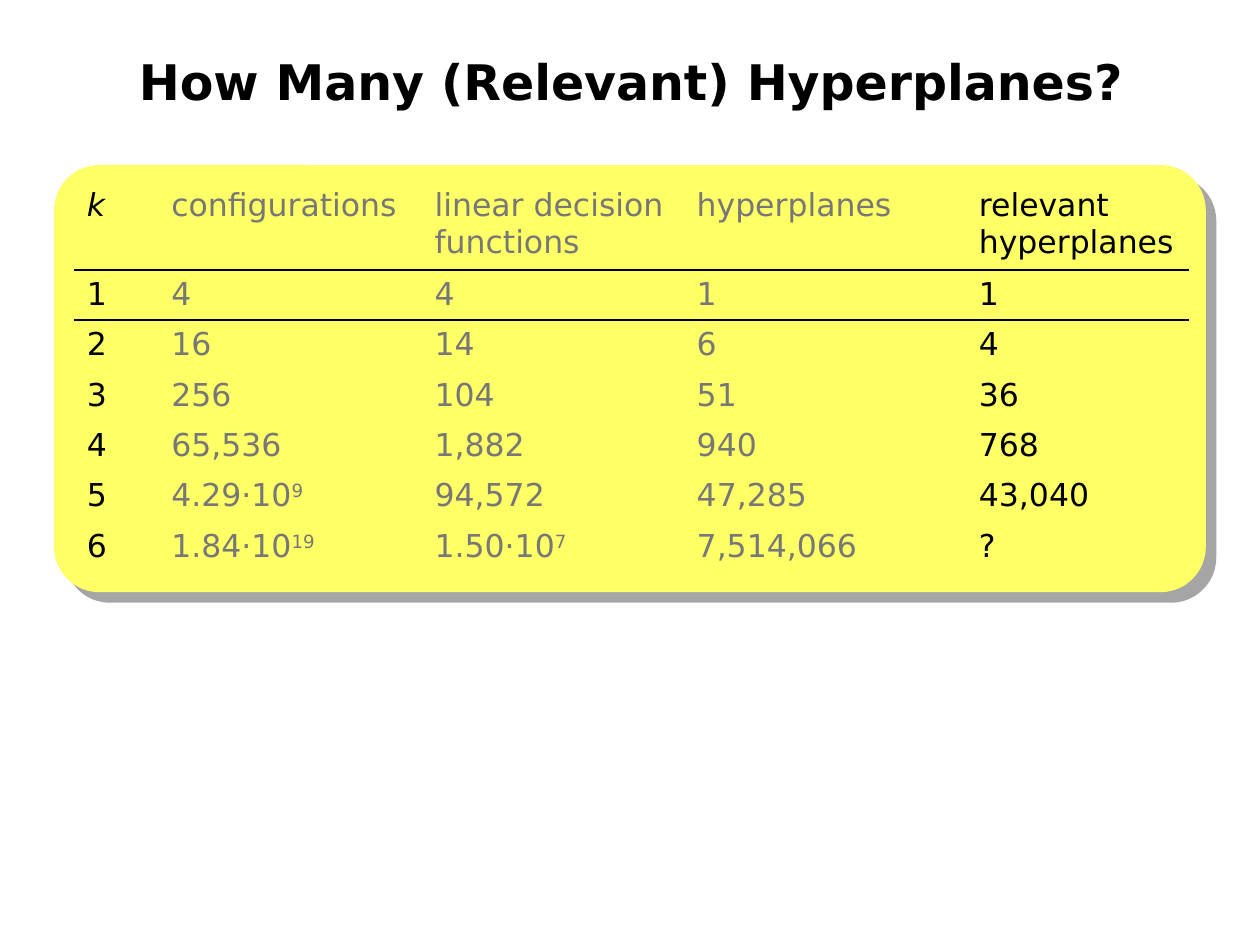
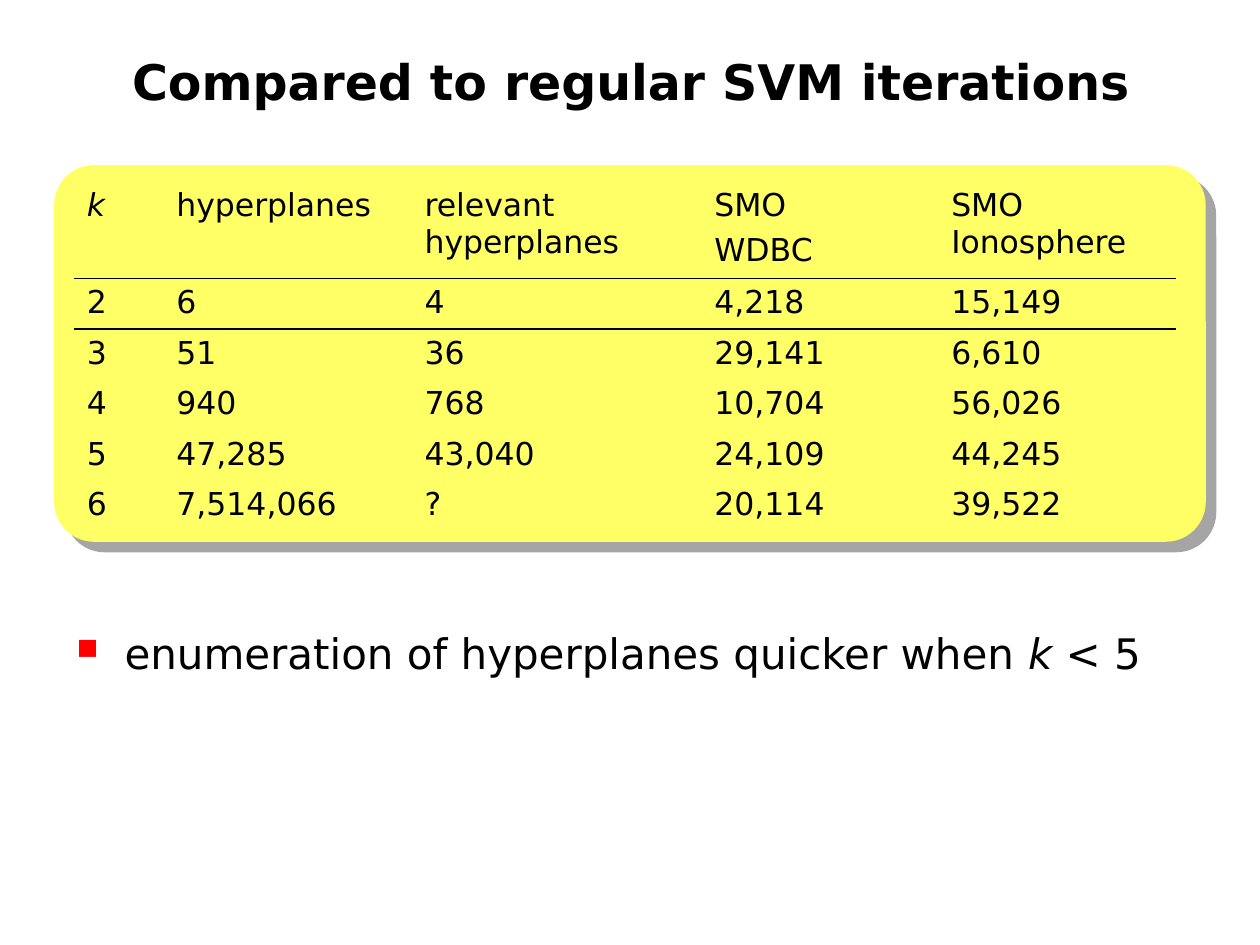
from lxml.etree import SubElement
from pptx import Presentation
from pptx.dml.color import RGBColor
from pptx.enum.shapes import MSO_SHAPE
from pptx.enum.text import MSO_ANCHOR, PP_ALIGN
from pptx.oxml import parse_xml
from pptx.oxml.ns import nsdecls, qn
from pptx.util import Inches, Pt

COLORS = {
    "text": "000000",
    "muted": "777777",
    "panel": "FFFF66",
    "shadow": "4D4D4D",
    "bullet": "FF0000",
}
FONT = "DejaVu Sans"
PLAIN_TABLE = "{2D5ABB26-0587-4C30-8999-92F81FD0307C}"
ROW_HEIGHT = 0.4


class SlideWriter:
    def __init__(self, deck):
        self.deck = deck
        self.page = None

    def new_page(self, title):
        self.page = self.deck.slides.add_slide(self.deck.slide_layouts[6])
        frame = self.text_frame(0.2, 0.13, 9.61, 1.02)
        frame.vertical_anchor = MSO_ANCHOR.MIDDLE
        frame.text = title
        frame.paragraphs[0].alignment = PP_ALIGN.CENTER
        self.style(frame.paragraphs[0], 28, bold=True)

    def text_frame(self, left, top, width, height):
        box = self.page.shapes.add_textbox(
            Inches(left), Inches(top), Inches(width), Inches(height)
        )
        box.text_frame.word_wrap = True
        return box.text_frame

    def style(self, para, size, color="text", bold=False):
        pieces = para.text.split("|")
        para.text = pieces[0]
        for piece in pieces[1:]:
            para.add_run().text = piece
        for span in para.runs:
            span.font.name = FONT
            span.font.size = Pt(size)
            span.font.bold = bold
            span.font.italic = span.text == "k"
            span.font.color.rgb = RGBColor.from_string(COLORS[color])
            if span.text.startswith("^"):
                span.text = span.text[1:]
                span.font._element.set("baseline", "30000")

    def bullet(self, text):
        frame = self.text_frame(0.51, 4.93, 9.29, 1.34)
        frame.text = text
        para = frame.paragraphs[0]
        para.space_before = Pt(6)
        self.style(para, 24)
        properties = para._p.get_or_add_pPr()
        indent = Inches(0.38)
        properties.set("marL", str(indent))
        properties.set("indent", str(-indent))
        color = SubElement(properties, qn("a:buClr"))
        SubElement(color, qn("a:srgbClr"), val=COLORS["bullet"])
        SubElement(properties, qn("a:buSzPct"), val="70000")
        SubElement(properties, qn("a:buChar"), char="■")

    def panel(self, height):
        panel = self.page.shapes.add_shape(
            MSO_SHAPE.ROUNDED_RECTANGLE,
            Inches(0.43), Inches(1.31), Inches(9.14), Inches(height),
        )
        panel.adjustments[0] = 0.106
        panel.fill.solid()
        panel.fill.fore_color.rgb = RGBColor.from_string(COLORS["panel"])
        panel.line.fill.background()
        panel.shadow.inherit = False
        effects = panel._element.spPr.find(qn("a:effectLst"))
        effects.append(parse_xml(
            f'<a:outerShdw {nsdecls("a")} blurRad="0" dist="{Pt(8.5)}" '
            'dir="2700000" algn="ctr" rotWithShape="0">'
            f'<a:srgbClr val="{COLORS["shadow"]}"><a:alpha val="50000"/></a:srgbClr>'
            "</a:outerShdw>"
        ))

    def rule(self, cell, edge):
        cell._tc.get_or_add_tcPr().insert(0, parse_xml(
            f'<a:{edge} {nsdecls("a")} w="{Pt(1.08)}"><a:solidFill>'
            f'<a:srgbClr val="{COLORS["text"]}"/></a:solidFill></a:{edge}>'
        ))

    def table(self, rows, widths, header_height, muted_columns=()):
        heights = [header_height] + [ROW_HEIGHT] * (len(rows) - 1)
        frame = self.page.shapes.add_table(
            len(rows), len(widths), Inches(0.59), Inches(1.44),
            Inches(sum(widths)), Inches(sum(heights)),
        )
        table = frame.table
        table.first_row = table.horz_banding = False
        table._tbl.tblPr.find(qn("a:tableStyleId")).text = PLAIN_TABLE
        for column, width in zip(table.columns, widths):
            column.width = Inches(width)
        for row, height in zip(table.rows, heights):
            row.height = Inches(height)
        for row_index, values in enumerate(rows):
            for column_index, value in enumerate(values):
                cell = table.cell(row_index, column_index)
                cell.fill.background()
                cell.text_frame.text = value
                color = "muted" if column_index in muted_columns else "text"
                for para in cell.text_frame.paragraphs:
                    para.space_before = Pt(4.5)
                    self.style(para, 18, color)
                if row_index < 2:
                    self.rule(cell, ("lnB", "lnT")[row_index])


def main():
    deck = Presentation()
    deck.slide_width, deck.slide_height = Inches(10), Inches(7.5)
    writer = SlideWriter(deck)

    writer.new_page("How Many (Relevant) Hyperplanes?")
    writer.panel(3.39)
    writer.table(
        [
            ("k", "configurations", "linear decision functions",
             "hyperplanes", "relevant hyperplanes"),
            ("1", "4", "4", "1", "1"),
            ("2", "16", "14", "6", "4"),
            ("3", "256", "104", "51", "36"),
            ("4", "65,536", "1,882", "940", "768"),
            ("5", "4.29·10|^9", "94,572", "47,285", "43,040"),
            ("6", "1.84·10|^19", "1.50·10|^7", "7,514,066", "?"),
        ],
        widths=(0.67, 2.09, 2.08, 2.24, 1.77),
        header_height=0.7,
        muted_columns=(1, 2, 3),
    )

    writer.new_page("Compared to regular SVM iterations")
    writer.bullet("enumeration of hyperplanes quicker when |k| < 5")
    writer.panel(2.99)
    writer.table(
        [
            ("k", "hyperplanes", "relevant hyperplanes",
             "SMO\nWDBC", "SMO Ionosphere"),
            ("2", "6", "4", "4,218", "15,149"),
            ("3", "51", "36", "29,141", "6,610"),
            ("4", "940", "768", "10,704", "56,026"),
            ("5", "47,285", "43,040", "24,109", "44,245"),
            ("6", "7,514,066", "?", "20,114", "39,522"),
        ],
        widths=(0.71, 1.97, 2.3, 1.88, 1.88),
        header_height=0.77,
    )

    deck.save("out.pptx")


if __name__ == "__main__":
    main()
